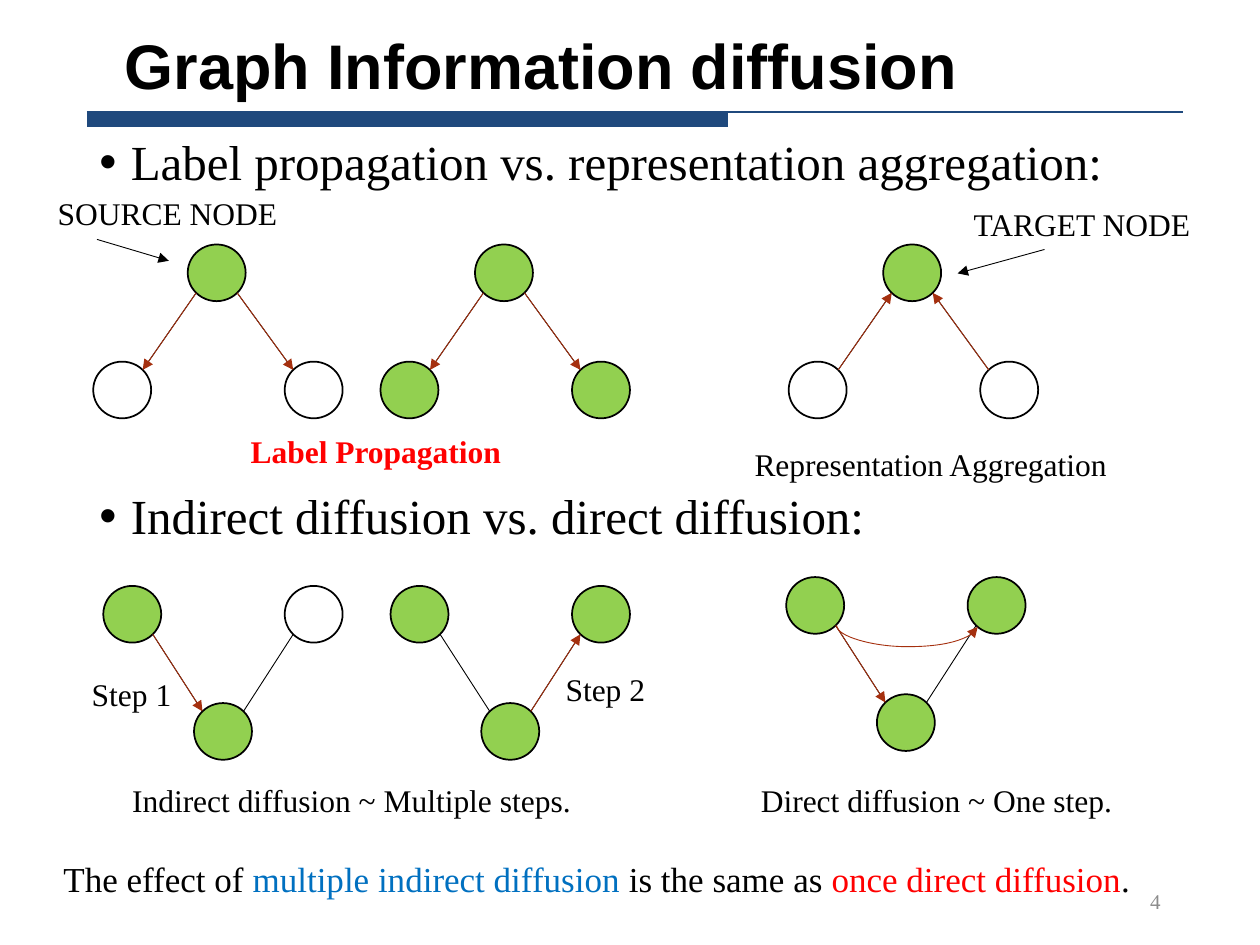
import math

import pptx
import pptx.dml.color
import pptx.enum.shapes
import pptx.enum.text
import pptx.oxml.ns
import pptx.util
from lxml import etree

Inches = pptx.util.Inches
Pt = pptx.util.Pt
RGBColor = pptx.dml.color.RGBColor
ALIGN = pptx.enum.text.PP_ALIGN
ANCHOR = pptx.enum.text.MSO_ANCHOR
CONNECTOR = pptx.enum.shapes.MSO_CONNECTOR
qn = pptx.oxml.ns.qn

BLACK = RGBColor(0x00, 0x00, 0x00)
NAVY = RGBColor(0x1F, 0x49, 0x7D)
GREEN = RGBColor(0x92, 0xD0, 0x50)
RUST = RGBColor(0xA5, 0x30, 0x0F)
RED = RGBColor(0xFF, 0x00, 0x00)
BLUE = RGBColor(0x00, 0x70, 0xC0)
GRAY = RGBColor(0x8C, 0x8C, 0x8C)

NODE_W, NODE_H = 0.46, 0.45
# Node offsets within a triad: the middle node is number 1
FAN = [(-0.75, 0.93), (0, 0), (0.77, 0.93)]
VEE = [(0, 0), (0.72, 0.93), (1.44, 0)]


def add_run(paragraph, text, *, size=18, color=BLACK, bold=False, font="Times New Roman"):
    run = paragraph.add_run()
    run.text = text
    run.font.name = font
    run.font.size = Pt(size)
    run.font.bold = bold
    run.font.color.rgb = color


class DiffusionSlide:
    def __init__(self, slide):
        self.shapes = slide.shapes

    def text(self, box, *runs, anchor=ANCHOR.TOP, align=ALIGN.LEFT, wrap=True, spacing=None):
        """Each run is a (text, format) pair."""
        frame = self.shapes.add_textbox(*map(Inches, box)).text_frame
        frame.word_wrap = wrap
        frame.vertical_anchor = anchor
        if not wrap:
            frame.auto_size = pptx.enum.text.MSO_AUTO_SIZE.SHAPE_TO_FIT_TEXT
        paragraph = frame.paragraphs[0]
        paragraph.alignment = align
        paragraph.line_spacing = spacing
        for words, style in runs:
            add_run(paragraph, words, **style)
        return frame

    def label(self, left, top, width, words, **style):
        self.text((left, top, width, 0.4), (words, style), wrap=False)

    def bullets(self, box, items, gap):
        frame = self.text(box)
        for index, item in enumerate(items):
            paragraph = frame.add_paragraph() if index else frame.paragraphs[0]
            paragraph.line_spacing = 0.9
            paragraph.space_before = Pt(gap if index else 10)
            add_run(paragraph, item, size=28)
            properties = paragraph._p.get_or_add_pPr()
            properties.set("marL", str(Inches(0.25)))
            properties.set("indent", str(-Inches(0.25)))
            etree.SubElement(properties, qn("a:buFont")).set("typeface", "Arial")
            etree.SubElement(properties, qn("a:buChar")).set("char", "•")

    def node(self, left, top, filled):
        oval = self.shapes.add_shape(
            pptx.enum.shapes.MSO_SHAPE.OVAL,
            Inches(left), Inches(top), Inches(NODE_W), Inches(NODE_H))
        oval.shadow.inherit = False
        oval.line.color.rgb = BLACK
        oval.line.width = Pt(1)
        if filled:
            oval.fill.solid()
            oval.fill.fore_color.rgb = GREEN
        else:
            oval.fill.background()

    def line(self, start, end, color=BLACK, width=0.5, arrow=False, kind=CONNECTOR.STRAIGHT):
        connector = self.shapes.add_connector(kind, *map(Inches, (*start, *end)))
        connector.line.color.rgb = color
        connector.line.width = Pt(width)
        if arrow:
            outline = connector.line._get_or_add_ln()
            etree.SubElement(outline, qn("a:tailEnd")).set("type", "triangle")
        etree.SubElement(connector._element.spPr, qn("a:effectLst"))
        return connector

    def edge(self, source, target, **style):
        """Join the facing diagonal points of two nodes given by their corners."""
        def rim(node, other):
            return [corner + size / 2 + math.copysign(size / 2 * math.sqrt(0.5), aim - corner)
                    for corner, aim, size in zip(node, other, (NODE_W, NODE_H))]
        self.line(rim(source, target), rim(target, source), **style)

    def triad(self, left, top, layout, filled, flows):
        places = [(left + dx, top + dy) for dx, dy in layout]
        for index, place in enumerate(places):
            self.node(*place, index in filled)
        for outer in (places[0], places[2]):
            self.edge(places[1], outer)
        for source, target in flows:
            self.edge(places[source], places[target], color=RUST, arrow=True)

    def dip_arrow(self, left, right, top, depth):
        """Curved arrow that leaves downwards and hangs between two points."""
        span, thin = right - left, 0.01
        x, y = (left + right - thin) / 2, top - span / 2
        curve = self.line((x, y), (x + thin, y + span), color=RUST, arrow=True,
                          kind=CONNECTOR.CURVE)
        properties = curve._element.spPr
        frame = properties.find(qn("a:xfrm"))
        frame.set("rot", str(270 * 60000))
        frame.set("flipH", "1")
        geometry = properties.find(qn("a:prstGeom"))
        adjustments = geometry.find(qn("a:avLst"))
        if adjustments is None:
            adjustments = etree.SubElement(geometry, qn("a:avLst"))
        guide = etree.SubElement(adjustments, qn("a:gd"))
        guide.set("name", "adj1")
        guide.set("fmla", f"val {round(depth / thin * 100000)}")

    def title_rule(self, left, top, bar_width, rule_width, height):
        builder = self.shapes.build_freeform(Inches(left), Inches(top))
        corners = [(left + bar_width, top), (left + bar_width, top + height), (left, top + height)]
        builder.add_line_segments([tuple(map(Inches, corner)) for corner in corners])
        bar = builder.convert_to_shape()
        bar.shadow.inherit = False
        bar.fill.solid()
        bar.fill.fore_color.rgb = NAVY
        bar.line.fill.background()
        self.line((left, top), (left + rule_width, top), color=NAVY, width=0.75)


def main():
    deck = pptx.Presentation()
    deck.slide_width, deck.slide_height = Inches(10), Inches(7.5)
    page = DiffusionSlide(deck.slides.add_slide(deck.slide_layouts[6]))

    # Title, bullets and page number
    page.title_rule(0.69, 0.89, 5.09, 8.7, 0.12)
    page.text((0.89, 0.1, 8.62, 0.9),
              ("Graph Information diffusion", dict(size=36, bold=True, font="Arial")),
              anchor=ANCHOR.MIDDLE, spacing=0.9)
    page.bullets((0.69, 1.05, 8.62, 5.91),
                 ["Label propagation vs. representation aggregation:",
                  "Indirect diffusion vs. direct diffusion:"], gap=172)
    page.text((7.06, 6.95, 2.25, 0.4), ("4", dict(size=12, color=GRAY)),
              anchor=ANCHOR.MIDDLE, align=ALIGN.RIGHT)

    # Label propagation and representation aggregation
    outward, inward = [(1, 0), (1, 2)], [(0, 1), (2, 1)]
    page.triad(1.49, 1.94, FAN, {1}, outward)
    page.triad(3.77, 1.94, FAN, {0, 1, 2}, outward)
    page.triad(7.01, 1.94, FAN, {1}, inward)
    page.line((0.77, 1.9), (1.34, 2.07), arrow=True)
    page.line((8.29, 1.98), (7.6, 2.17), arrow=True)
    page.label(0.36, 1.49, 1.96, "SOURCE NODE")
    page.label(7.63, 1.58, 1.94, "TARGET NODE")
    page.label(1.89, 3.38, 2.21, "Label Propagation", color=RED, bold=True)
    page.label(5.89, 3.48, 3.03, "Representation Aggregation")

    # Indirect and direct diffusion
    page.triad(0.82, 4.65, VEE, {0, 1}, [(0, 1)])
    page.triad(3.1, 4.65, VEE, {0, 1, 2}, [(1, 2)])
    page.triad(6.24, 4.58, VEE, {0, 1, 2}, [(0, 1)])
    page.dip_arrow(6.64, 7.76, 4.97, 0.17)
    page.label(0.63, 5.31, 0.84, "Step 1")
    page.label(4.39, 5.27, 0.84, "Step 2")
    page.label(0.95, 6.15, 3.78, "Indirect diffusion ~ Multiple steps.")
    page.label(5.94, 6.15, 3.08, "Direct diffusion ~ One step.")

    # Conclusion
    page.text((-0.23, 6.76, 10, 0.44),
              ("The effect of ", dict(size=20)),
              ("multiple indirect diffusion ", dict(size=20, color=BLUE)),
              ("is the same as ", dict(size=20)),
              ("once direct diffusion", dict(size=20, color=RED)),
              (". ", dict(size=20)), align=ALIGN.CENTER)

    deck.save("out.pptx")


if __name__ == "__main__":
    main()
